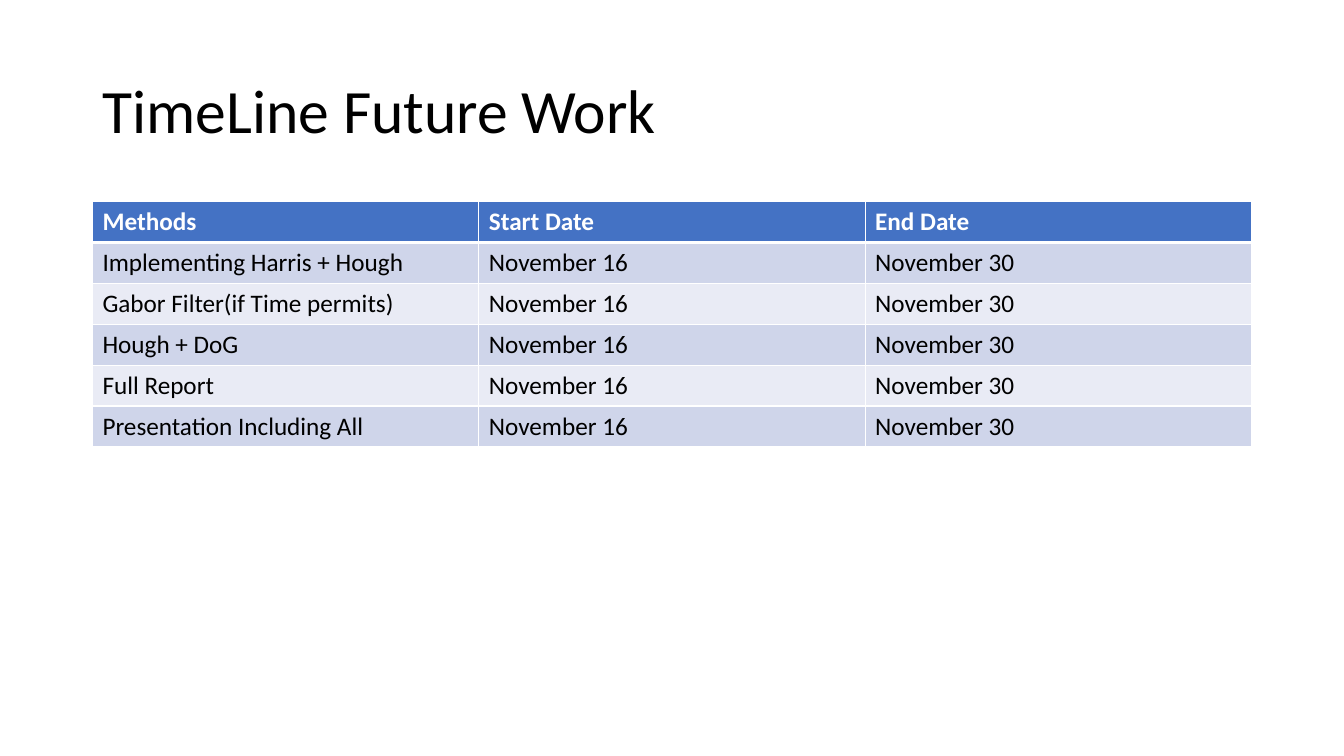
from lxml import etree
from pptx import Presentation
from pptx.dml.color import RGBColor
from pptx.enum.text import MSO_ANCHOR
from pptx.oxml.ns import qn
from pptx.util import Cm, Pt

MIDDLE = MSO_ANCHOR.MIDDLE
FONT = "Calibri"
BLACK = RGBColor(0x00, 0x00, 0x00)
WHITE = RGBColor(0xFF, 0xFF, 0xFF)
HEADER_BLUE = RGBColor(0x44, 0x72, 0xC4)
BAND_DARK = RGBColor(0xCF, 0xD5, 0xEA)
BAND_LIGHT = RGBColor(0xE9, 0xEB, 0xF5)

LEFT, WIDTH = Cm(2.33), Cm(29.21)
ROW_HEIGHT = Cm(1.03)

HEADINGS = ("Methods", "Start Date", "End Date")
METHODS = (
    "Implementing Harris + Hough",
    "Gabor Filter(if Time permits)",
    "Hough + DoG",
    "Full Report",
    "Presentation Including All",
)
START, END = "November 16", "November 30"


def style_text(paragraph, size, color, bold=False):
    for run in paragraph.runs:
        font = run.font
        font.name, font.size, font.bold = FONT, Pt(size), bold
        font.color.rgb = color


def add_title(slide, text):
    frame = slide.shapes.add_textbox(LEFT, Cm(1.01), WIDTH, Cm(3.68)).text_frame
    frame.word_wrap = True
    frame.vertical_anchor = MIDDLE
    frame.text = text
    paragraph = frame.paragraphs[0]
    paragraph.line_spacing = 0.9
    style_text(paragraph, 44, BLACK)


def set_borders(cell, top, bottom):
    """Draw white cell borders; widths are in points."""
    properties = cell._tc.get_or_add_tcPr()
    for side, width in (("L", 1), ("R", 1), ("T", top), ("B", bottom)):
        line = etree.SubElement(properties, qn(f"a:ln{side}"), w=str(Pt(width)))
        fill = etree.SubElement(line, qn("a:solidFill"))
        etree.SubElement(fill, qn("a:srgbClr"), val=str(WHITE))


def style_cell(cell, row_index):
    is_header = row_index == 0
    set_borders(cell, top=3 if row_index == 1 else 1, bottom=3 if is_header else 1)
    band = BAND_DARK if row_index % 2 else BAND_LIGHT
    cell.fill.solid()
    cell.fill.fore_color.rgb = HEADER_BLUE if is_header else band
    style_text(cell.text_frame.paragraphs[0], 18, WHITE if is_header else BLACK, is_header)


def add_timeline(slide, rows):
    table = slide.shapes.add_table(
        len(rows), len(rows[0]), LEFT, Cm(5.08), WIDTH, ROW_HEIGHT * len(rows)
    ).table
    for row_index, values in enumerate(rows):
        for column_index, value in enumerate(values):
            cell = table.cell(row_index, column_index)
            cell.text_frame.text = value
            style_cell(cell, row_index)


def main():
    presentation = Presentation()
    presentation.slide_width, presentation.slide_height = Cm(33.87), Cm(19.05)
    slide = presentation.slides.add_slide(presentation.slide_layouts[6])

    # Title
    add_title(slide, "TimeLine Future Work")

    # Schedule table
    add_timeline(slide, [HEADINGS] + [(method, START, END) for method in METHODS])

    presentation.save("out.pptx")


if __name__ == "__main__":
    main()
